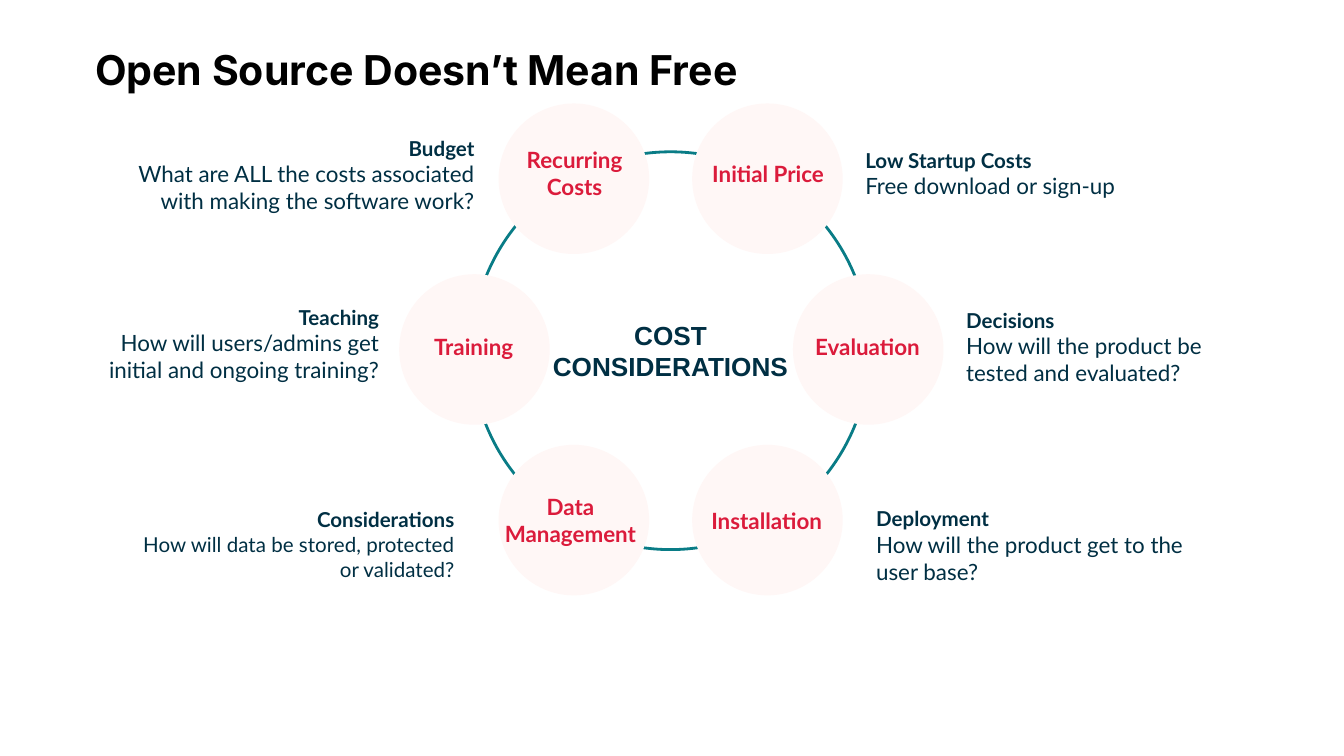
import pptx
import pptx.dml.color
import pptx.enum.shapes
import pptx.enum.text
import pptx.util

WIDTH = 10
HEIGHT = WIDTH * 9 / 16
CENTER_X, RING_Y, CIRCLES_Y = 4.99, 2.61, 2.6
RING_SIZE, CIRCLE_SIZE = 2.96, 1.12
ROW_GAP = 1.27
LABEL_CENTER_Y, LABEL_ROW_GAP, LABEL_HEIGHT = 2.58, 1.29, 0.36
NOTE_HEIGHT = 0.72
NAVY, RED, TEAL, BLUSH = "002F43", "DB1B3B", "097C86", "FFF7F6"

ALIGN = pptx.enum.text.PP_ALIGN
ANCHOR = pptx.enum.text.MSO_ANCHOR
TITLE = {"name": "Inter", "size": 22, "bold": True, "color": "000000"}
HUB = {"name": "Arial", "size": 14, "bold": True, "color": NAVY}
LABEL = {"name": "Lato", "size": 12, "bold": True, "color": RED}
HEADING = {"name": "Lato", "size": 11, "bold": True, "color": NAVY}
BODY = {"name": "Lato", "size": 12, "bold": False, "color": NAVY}

COSTS = [
    {"offset": 0.72, "row": -1, "label": "Initial Price", "label_box": (5.09, 1.25),
     "heading": "Low Startup Costs", "body": "Free download or sign-up",
     "note_box": (6.34, 0.93, 2.7)},
    {"offset": 0.72, "row": 1, "label": "Installation", "label_box": (4.99, 1.43),
     "heading": "Deployment", "body": "How will the product get to the user base?",
     "note_box": (6.42, 3.7, 2.55)},
    {"offset": -0.72, "row": 1, "label": "Data Management", "label_box": (3.53, 1.43),
     "heading": "Considerations", "body": "How will data be stored, protected or validated?",
     "note_box": (0.93, 3.69, 2.55), "body_size": 11},
    {"offset": 1.47, "row": 0, "label": "Evaluation", "label_box": (5.74, 1.43),
     "heading": "Decisions", "body": "How will the product be tested and evaluated?",
     "note_box": (7.09, 2.22, 2.35)},
    {"offset": -1.46, "row": 0, "label": "Training", "label_box": (2.81, 1.43),
     "heading": "Teaching", "body": "How will users/admins get initial and ongoing training?",
     "note_box": (0.57, 2.2, 2.35)},
    {"offset": -0.72, "row": -1, "label": "Recurring Costs", "label_box": (3.65, 1.25),
     "heading": "Budget",
     "body": "What are ALL the costs associated with making the software work?",
     "note_box": (0.93, 0.94, 2.7)},
]


def rgb(value):
    return pptx.dml.color.RGBColor.from_string(value)


def inches(*lengths):
    return [pptx.util.Inches(length) for length in lengths]


def write(shape, lines, align=ALIGN.LEFT, anchor=ANCHOR.MIDDLE):
    frame = shape.text_frame
    settings = {"word_wrap": True, "vertical_anchor": anchor}
    for side in ("left", "top", "right", "bottom"):
        settings["margin_" + side] = pptx.util.Inches(0.1)
    for name, value in settings.items():
        setattr(frame, name, value)
    for index, (text, style) in enumerate(lines):
        paragraph = frame.add_paragraph() if index else frame.paragraphs[0]
        paragraph.alignment = align
        run = paragraph.add_run()
        run.text = text
        values = {"name": style["name"], "size": pptx.util.Pt(style["size"]),
                  "bold": style["bold"]}
        for name, value in values.items():
            setattr(run.font, name, value)
        run.font.color.rgb = rgb(style["color"])


def add_text(slide, box, lines, **layout):
    write(slide.shapes.add_textbox(*inches(*box)), lines, **layout)


def add_circle(slide, x, y, size, fill=None, line=None):
    shape = slide.shapes.add_shape(
        pptx.enum.shapes.MSO_SHAPE.OVAL,
        *inches(x - size / 2, y - size / 2, size, size))
    shape.shadow.inherit = False
    if fill:
        shape.fill.solid()
        shape.fill.fore_color.rgb = rgb(fill)
    else:
        shape.fill.background()
    if line:
        shape.line.color.rgb = rgb(line)
        shape.line.width = pptx.util.Pt(1.5)
    else:
        shape.line.fill.background()
    return shape


def main():
    """Build the cost considerations slide."""
    presentation = pptx.Presentation()
    presentation.slide_width, presentation.slide_height = inches(WIDTH, HEIGHT)
    slide = presentation.slides.add_slide(presentation.slide_layouts[6])

    add_text(slide, (0.61, 0.23, 8.36, 0.54),
             [("Open Source Doesn’t Mean Free", TITLE)], anchor=ANCHOR.TOP)
    ring = add_circle(slide, CENTER_X, RING_Y, RING_SIZE, line=TEAL)
    write(ring, [("COST CONSIDERATIONS", HUB)], align=ALIGN.CENTER)

    for cost in COSTS:
        add_circle(slide, CENTER_X + cost["offset"], CIRCLES_Y + cost["row"] * ROW_GAP,
                   CIRCLE_SIZE, fill=BLUSH)
    for cost in COSTS:
        left, width = cost["label_box"]
        top = LABEL_CENTER_Y + cost["row"] * LABEL_ROW_GAP - LABEL_HEIGHT / 2
        add_text(slide, (left, top, width, LABEL_HEIGHT),
                 [(cost["label"], LABEL)], align=ALIGN.CENTER)
        body = {**BODY, "size": cost.get("body_size", BODY["size"])}
        add_text(slide, (*cost["note_box"], NOTE_HEIGHT),
                 [(cost["heading"], HEADING), (cost["body"], body)],
                 align=ALIGN.RIGHT if cost["offset"] < 0 else ALIGN.LEFT)

    presentation.save("out.pptx")


if __name__ == "__main__":
    main()
